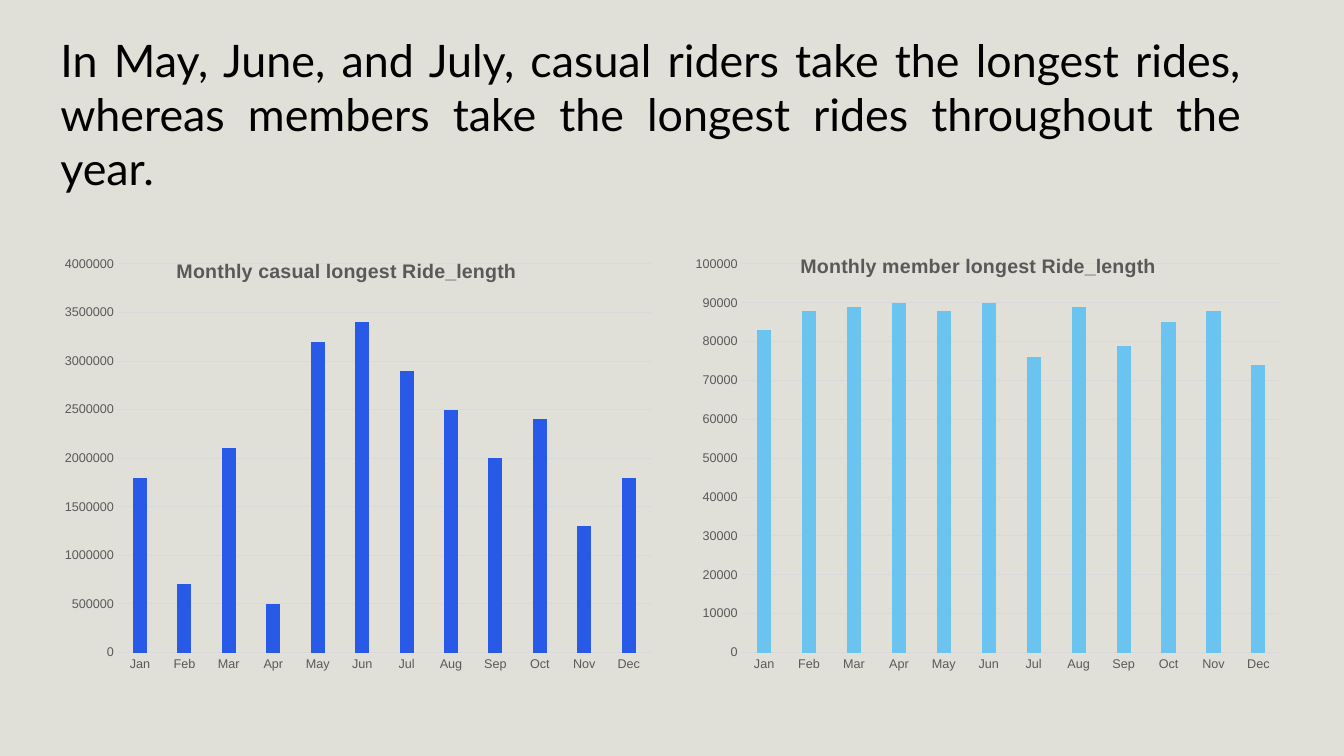
from lxml import etree
from pptx import Presentation
from pptx.chart.data import CategoryChartData
from pptx.dml.color import RGBColor
from pptx.enum.chart import XL_CHART_TYPE, XL_TICK_MARK
from pptx.enum.shapes import MSO_SHAPE
from pptx.enum.text import MSO_ANCHOR, PP_ALIGN
from pptx.oxml.ns import qn
from pptx.util import Pt

COLUMNS = XL_CHART_TYPE.COLUMN_CLUSTERED
NO_TICK = XL_TICK_MARK.NONE
RECTANGLE = MSO_SHAPE.RECTANGLE
MIDDLE = MSO_ANCHOR.MIDDLE
JUSTIFY = PP_ALIGN.JUSTIFY

COLORS = {
    "backdrop": "D4D2C8",
    "headline": "000000",
    "label": "595959",
    "grid": "D9D9D9",
    "casual": "2959E7",
    "member": "6BC3EF",
}
MONTHS = ["Jan", "Feb", "Mar", "Apr", "May", "Jun",
          "Jul", "Aug", "Sep", "Oct", "Nov", "Dec"]
CASUAL_RIDES = [1800000, 700000, 2100000, 500000, 3200000, 3400000,
                2900000, 2500000, 2000000, 2400000, 1300000, 1800000]
MEMBER_RIDES = [83000, 88000, 89000, 90000, 88000, 90000,
                76000, 89000, 79000, 85000, 88000, 74000]


def rgb(name):
    """Return the named colour."""
    return RGBColor.from_string(COLORS[name])


def style_font(font, size, color, face="Arial", bold=False):
    """Set face, size, weight and colour of a font."""
    font.name, font.size, font.bold = face, Pt(size), bold
    font.color.rgb = rgb(color)


def manual_layout(inner=False, **fractions):
    """Return a chart layout element placed by fractions of the chart."""
    layout = etree.Element(qn("c:layout"))
    manual = etree.SubElement(layout, qn("c:manualLayout"))
    settings = {"layoutTarget": "inner"} if inner else {}
    settings.update(xMode="edge", yMode="edge", **fractions)
    for tag, value in settings.items():
        etree.SubElement(manual, qn(f"c:{tag}")).set("val", str(value))
    return layout


def place_title(title, x, y):
    """Lay the chart title over the plot at a fixed position."""
    element = title._element
    for tag in ("c:layout", "c:overlay"):
        for old in element.findall(qn(tag)):
            element.remove(old)
    layout = manual_layout(x=x, y=y)
    element.find(qn("c:tx")).addnext(layout)
    overlay = etree.Element(qn("c:overlay"))
    overlay.set("val", "1")
    layout.addnext(overlay)


def place_plot(chart, x, w):
    """Fix the inner plot area within the chart."""
    plot_area = chart._chartSpace.chart.plotArea
    for old in plot_area.findall(qn("c:layout")):
        plot_area.remove(old)
    plot_area.insert(0, manual_layout(inner=True, x=x, y=0.13, w=w, h=0.81))


def style_axis(axis):
    """Remove tick marks and style the axis labels."""
    axis.major_tick_mark = axis.minor_tick_mark = NO_TICK
    style_font(axis.tick_labels.font, 9, "label")


def add_backdrop(slide, width, height):
    """Cover the slide with a translucent tint."""
    backdrop = slide.shapes.add_shape(RECTANGLE, 0, 0, width, height)
    backdrop.shadow.inherit = False
    backdrop.line.fill.background()
    backdrop.fill.solid()
    backdrop.fill.fore_color.rgb = rgb("backdrop")
    tint = backdrop._element.spPr.find(qn("a:solidFill"))[0]
    etree.SubElement(tint, qn("a:alpha")).set("val", "70000")


def add_headline(slide, wording):
    """Add the justified headline."""
    box = slide.shapes.add_textbox(Pt(36), Pt(28.8), Pt(858.24), Pt(104.4))
    frame = box.text_frame
    frame.word_wrap = True
    frame.vertical_anchor = MIDDLE
    paragraph = frame.paragraphs[0]
    paragraph.alignment = JUSTIFY
    run = paragraph.add_run()
    run.text = wording
    style_font(run.font, 32, "headline", "Lato")


def add_ride_chart(slide, left, heading, rides, color, peak, step,
                   title_x, title_y, plot_x, plot_w):
    """Add a monthly column chart of ride lengths."""
    ride_data = CategoryChartData()
    ride_data.categories = MONTHS
    ride_data.add_series("Series 1", rides)
    chart = slide.shapes.add_chart(
        COLUMNS, Pt(left), Pt(144), Pt(437.76), Pt(342.72), ride_data).chart
    style_font(chart.font, 10, "headline")
    chart.has_legend = False

    chart.has_title = True
    run = chart.chart_title.text_frame.paragraphs[0].add_run()
    run.text = heading
    style_font(run.font, 14, "label", bold=True)
    place_title(chart.chart_title, title_x, title_y)
    place_plot(chart, plot_x, plot_w)

    months, lengths = chart.category_axis, chart.value_axis
    style_axis(months)
    style_axis(lengths)
    lengths.minimum_scale, lengths.maximum_scale = 0, peak
    lengths.major_unit = step
    lengths.format.line.fill.background()
    for line in (months.format.line, lengths.major_gridlines.format.line):
        line.color.rgb = rgb("grid")
        line.width = Pt(0.75)

    columns = chart.plots[0]
    columns.gap_width, columns.overlap = 219, -27
    columns.vary_by_categories = False
    fill = columns.series[0].format.fill
    fill.solid()
    fill.fore_color.rgb = rgb(color)


def main():
    """Build the slide and save it."""
    deck = Presentation()
    deck.slide_width, deck.slide_height = Pt(960), Pt(540)
    slide = deck.slides.add_slide(deck.slide_layouts[6])
    add_backdrop(slide, deck.slide_width, deck.slide_height)
    add_headline(slide, "In May, June, and July, casual riders take the longest "
                        "rides, whereas members take the longest rides "
                        "throughout the year.")
    add_ride_chart(slide, 36, "Monthly casual longest Ride_length", CASUAL_RIDES,
                   "casual", 4000000, 500000, 0.2, 0.11, 0.11, 0.87)
    add_ride_chart(slide, 486, "Monthly member longest Ride_length", MEMBER_RIDES,
                   "member", 100000, 10000, 0.19, 0.1, 0.1, 0.88)
    deck.save("out.pptx")


if __name__ == "__main__":
    main()
